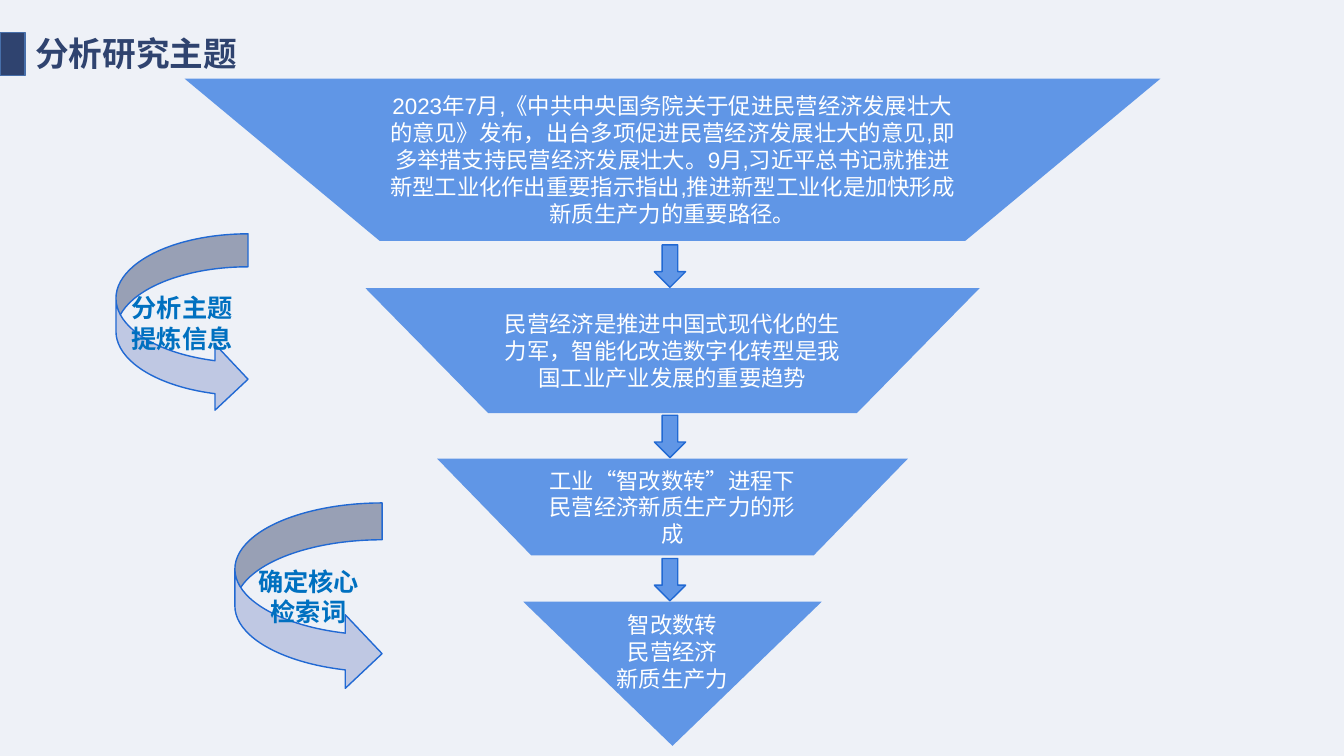
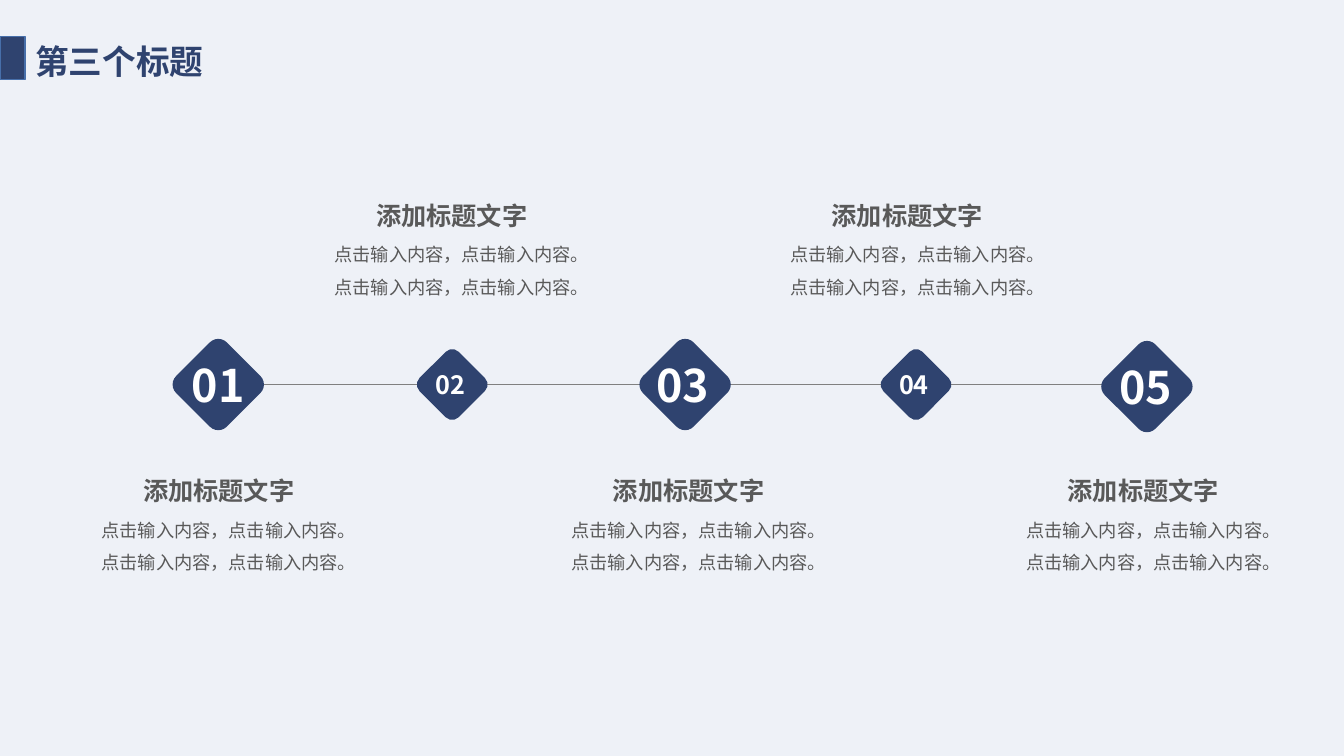
import pptx
import pptx.util
import pptx.dml.color
import pptx.enum.shapes
import pptx.enum.text
import pptx.oxml.ns
import lxml.etree

Inches, Pt = pptx.util.Inches, pptx.util.Pt
SHAPE = pptx.enum.shapes.MSO_SHAPE
ALIGN = pptx.enum.text.PP_ALIGN
ANCHOR = pptx.enum.text.MSO_ANCHOR
qn = pptx.oxml.ns.qn

COLORS = {
    "background": "EEF1F7", "navy": "2F436F", "navy_edge": "476FAA",
    "blue": "6096E6", "blue_edge": "2169D3", "pale": "BFC8E3",
    "note": "0070C0", "grey": "595959", "rule": "808080", "white": "FFFFFF",
}
LATIN, CJK = "Arial", "Noto Sans CJK SC"

FUNNEL_TITLE = "分析研究主题"
FUNNEL_STAGES = [
    (SHAPE.FLOWCHART_MANUAL_OPERATION, 0.78, 9.68, 1.61, [
        "2023年7月,《中共中央国务院关于促进民营经济发展壮大的意见》发布，"
        "出台多项促进民营经济发展壮大的意见,即多举措支持民营经济发展壮大。"
        "9月,习近平总书记就推进新型工业化作出重要指示指出,"
        "推进新型工业化是加快形成新质生产力的重要路径。"]),
    (SHAPE.FLOWCHART_MANUAL_OPERATION, 2.86, 6.09, 1.24, [
        "民营经济是推进中国式现代化的生力军，"
        "智能化改造数字化转型是我国工业产业发展的重要趋势"]),
    (SHAPE.FLOWCHART_MANUAL_OPERATION, 4.55, 4.67, 0.96, [
        "工业“智改数转”进程下民营经济新质生产力的形成"]),
    (SHAPE.FLOWCHART_MERGE, 5.97, 2.96, 1.43, ["智改数转", "民营经济", "新质生产力"]),
]
FUNNEL_CENTER = 6.67
CURVED_ARROWS = [
    ((1.15, 2.32, 1.31, 1.77), ["分析主题提炼信息"]),
    ((2.33, 4.99, 1.46, 1.86), ["确定核心", "检索词"]),
]

TIMELINE_TITLE = "第三个标题"
STEP_HEADING = "添加标题文字"
STEP_BODY = "点击输入内容，点击输入内容。" * 2
STEPS = [
    ("01", 1.81, 3.46, 1.70, 0.91),
    ("02", 4.21, 3.54, 4.00, 3.22),
    ("03", 6.44, 3.46, 6.31, 5.57),
    ("04", 8.81, 3.54, 8.60, 7.74),
    ("05", 11.02, 3.48, 10.90, 10.08),
]
STEP_SIZES = {"large": (0.71, 0.64, 32, 4.61), "small": (0.55, 0.40, 18, 1.88)}


def rgb(name):
    return pptx.dml.color.RGBColor.from_string(COLORS[name])


def write(sp, lines, size, color, font=CJK, bold=False, align=ALIGN.LEFT,
          anchor=ANCHOR.TOP, spacing=None):
    tf = sp.text_frame
    tf.word_wrap = True
    tf.auto_size = pptx.enum.text.MSO_AUTO_SIZE.NONE
    tf.vertical_anchor = anchor
    tf.text = "\n".join(lines)
    for p in tf.paragraphs:
        p.alignment = align
        if spacing:
            p.line_spacing = spacing
        p.font.name, p.font.size, p.font.bold = font, Pt(size), bold
        p.font.color.rgb = rgb(color)
        latin = p._p.pPr.find(qn("a:defRPr")).find(qn("a:latin"))
        ea = lxml.etree.Element(qn("a:ea"), typeface=CJK)
        latin.addnext(ea)


def add_shape(slide, kind, box, fill, edge=None):
    sp = slide.shapes.add_shape(kind, *map(Inches, box))
    sp.shadow.inherit = False
    sp.fill.solid()
    sp.fill.fore_color.rgb = rgb(fill)
    if edge:
        sp.line.color.rgb = rgb(edge)
        sp.line.width = Pt(1)
    else:
        sp.line.fill.background()
    return sp


def add_text(slide, box, text, size, color, **style):
    sp = slide.shapes.add_textbox(*map(Inches, box))
    write(sp, [text], size, color, **style)


def add_slide(prs, title, title_top, bar_top):
    slide = prs.slides.add_slide(prs.slide_layouts[5])
    sp = slide.shapes.title
    sp.left, sp.top, sp.width, sp.height = map(Inches, (0.25, title_top, 5.8, 0.5))
    write(sp, [title], 24, "navy", bold=True)
    add_shape(slide, SHAPE.RECTANGLE, (0, bar_top, 0.25, 0.43), "navy", "navy_edge")
    return slide


def build_funnel(prs):
    slide = add_slide(prs, FUNNEL_TITLE, 0.28, 0.32)
    for i, (kind, top, width, height, lines) in enumerate(FUNNEL_STAGES):
        box = (FUNNEL_CENTER - width / 2, top, width, height)
        sp = add_shape(slide, kind, box, "blue")
        write(sp, lines, 16, "white", LATIN, align=ALIGN.CENTER, anchor=ANCHOR.MIDDLE)
        if kind == SHAPE.FLOWCHART_MERGE:
            sp.text_frame.margin_top = Inches(0.32)
        if i:
            add_shape(slide, SHAPE.DOWN_ARROW, (6.49, top - 0.43, 0.31, 0.42),
                      "blue", "blue_edge")
    for box, lines in CURVED_ARROWS:
        sp = add_shape(slide, SHAPE.CURVED_RIGHT_ARROW, box, "pale", "blue_edge")
        write(sp, lines, 18, "note", LATIN, True, ALIGN.CENTER, ANCHOR.MIDDLE)


def build_timeline(prs):
    slide = add_slide(prs, TIMELINE_TITLE, 0.36, 0.36)
    line = slide.shapes.add_connector(
        pptx.enum.shapes.MSO_CONNECTOR.STRAIGHT,
        Inches(2.23), Inches(3.81), Inches(10.97), Inches(3.81))
    line.line.color.rgb = rgb("rule")
    line.line.width = Pt(0.5)
    lxml.etree.SubElement(line._element.spPr, qn("a:effectLst"))
    for i, (number, left, top, number_left, body_left) in enumerate(STEPS):
        side, number_height, size, heading_top = STEP_SIZES["small" if i % 2 else "large"]
        diamond = add_shape(slide, SHAPE.ROUNDED_RECTANGLE, (left, top, side, side), "navy")
        diamond.rotation = 45
        number_top = top + (side - number_height) / 2
        add_text(slide, (number_left, number_top, 0.93, number_height), number, size,
                 "white", bold=True, align=ALIGN.CENTER)
        add_text(slide, (body_left + 0.11, heading_top, 2.3, 0.46), STEP_HEADING, 18,
                 "grey", bold=True, align=ALIGN.CENTER, spacing=1.2)
        add_text(slide, (body_left, heading_top + 0.38, 2.65, 0.76), STEP_BODY, 13,
                 "grey", spacing=1.5)


def main():
    prs = pptx.Presentation()
    prs.slide_width, prs.slide_height = Inches(13.33), Inches(7.5)
    background = prs.slide_master.background.fill
    background.solid()
    background.fore_color.rgb = rgb("background")
    build_funnel(prs)
    build_timeline(prs)
    prs.save("out.pptx")


if __name__ == "__main__":
    main()
